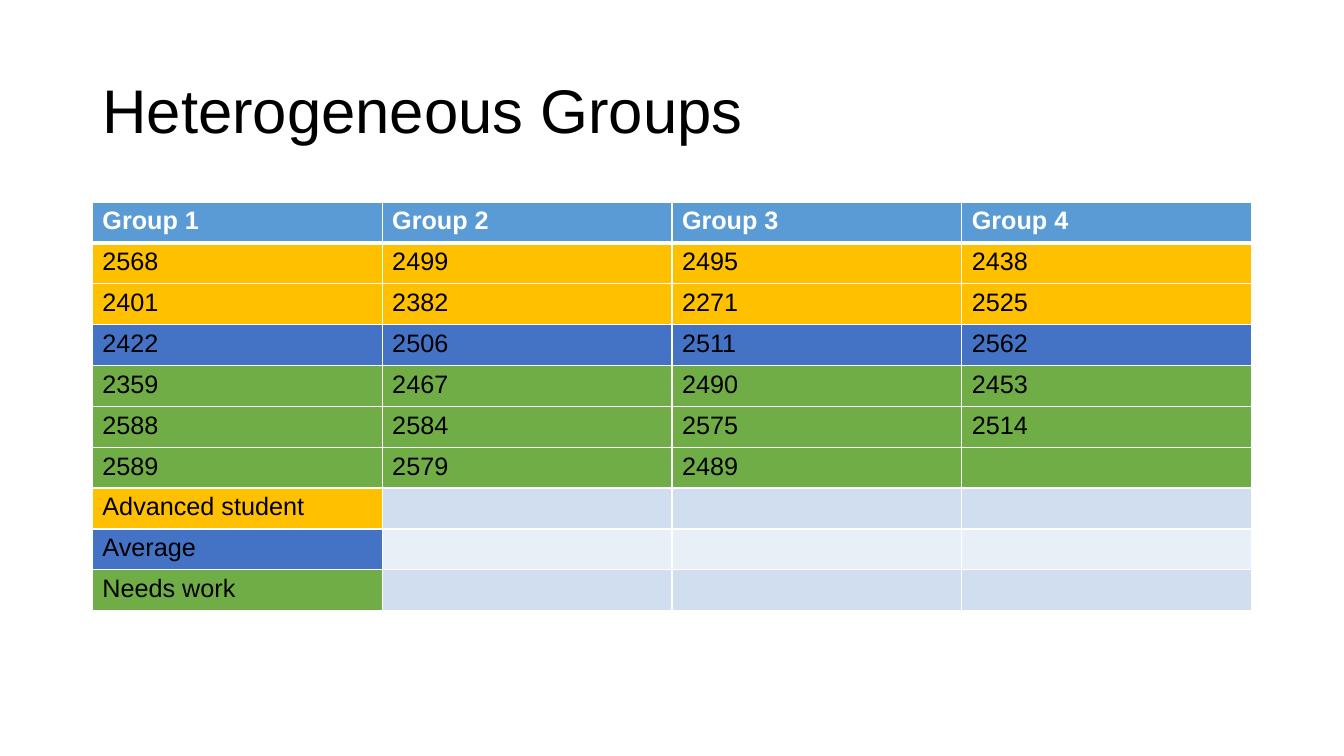
from lxml import etree
from pptx import Presentation
from pptx import util as u
from pptx.dml.color import RGBColor
from pptx.enum import text
from pptx.oxml.ns import qn

Pt = u.Pt
FONT = "Arial"
BLACK, WHITE, HEADER = "000000", "FFFFFF", "5B9BD5"
ADVANCED, AVERAGE, NEEDS_WORK = "FFC000", "4472C4", "70AD47"
BAND_DARK, BAND_LIGHT = "D0DEEF", "E9EFF7"
COLUMNS = 4

GROUPS = ["Group 1", "Group 2", "Group 3", "Group 4"]
STUDENTS = [
    (ADVANCED, ["2568", "2499", "2495", "2438"]),
    (ADVANCED, ["2401", "2382", "2271", "2525"]),
    (AVERAGE, ["2422", "2506", "2511", "2562"]),
    (NEEDS_WORK, ["2359", "2467", "2490", "2453"]),
    (NEEDS_WORK, ["2588", "2584", "2575", "2514"]),
    (NEEDS_WORK, ["2589", "2579", "2489", ""]),
]
LEGEND = [
    ("Advanced student", ADVANCED, BAND_DARK),
    ("Average", AVERAGE, BAND_LIGHT),
    ("Needs work", NEEDS_WORK, BAND_DARK),
]


def rgb(color):
    return RGBColor.from_string(color)


def format_runs(p, size, color, bold=False):
    for r in p.runs:
        r.font.name = FONT
        r.font.size = Pt(size)
        r.font.bold = bold
        r.font.color.rgb = rgb(color)


def set_title(slide, title):
    sp = slide.shapes.title
    sp.left, sp.top, sp.width, sp.height = Pt(66), Pt(28.75), Pt(828), Pt(104.4)
    tf = sp.text_frame
    tf.text = title
    tf.vertical_anchor = text.MSO_ANCHOR.MIDDLE
    p = tf.paragraphs[0]
    p.alignment = text.PP_ALIGN.LEFT
    p.line_spacing = 0.9
    format_runs(p, 44, BLACK)


def set_borders(cell, widths):
    """Draw white borders; widths are left, right, top, bottom in points."""
    tc_pr = cell._tc.get_or_add_tcPr()
    for i, (side, width) in enumerate(zip("LRTB", widths)):
        ln = etree.Element(qn(f"a:ln{side}"), w=str(Pt(width)))
        fill = etree.SubElement(ln, qn("a:solidFill"))
        etree.SubElement(fill, qn("a:srgbClr"), val=WHITE)
        tc_pr.insert(i, ln)


def fill_cell(cell, value, fill, color, bold, borders):
    cell.fill.solid()
    cell.fill.fore_color.rgb = rgb(fill)
    cell.text_frame.text = value
    format_runs(cell.text_frame.paragraphs[0], 18, color, bold)
    set_borders(cell, borders)


def add_group_table(slide):
    rows = [(GROUPS, [HEADER] * COLUMNS)]
    rows += [(ids, [level] * COLUMNS) for level, ids in STUDENTS]
    blanks = COLUMNS - 1
    rows += [([label] + [""] * blanks, [level] + [band] * blanks)
             for label, level, band in LEGEND]

    table = slide.shapes.add_table(len(rows), COLUMNS, Pt(66), Pt(144.25),
                                   Pt(828), Pt(29.2 * len(rows))).table
    for column in table.columns:
        column.width = Pt(207)
    for i, (values, fills) in enumerate(rows):
        table.rows[i].height = Pt(29.2)
        header = i == 0
        borders = (1, 1, 3 if i == 1 else 1, 3 if header else 1)
        for j, (value, fill) in enumerate(zip(values, fills)):
            fill_cell(table.cell(i, j), value, fill,
                      WHITE if header else BLACK, header, borders)


def main():
    prs = Presentation()
    prs.slide_width, prs.slide_height = Pt(960), Pt(540)
    slide = prs.slides.add_slide(prs.slide_layouts[5])
    set_title(slide, "Heterogeneous Groups")
    add_group_table(slide)
    prs.save("out.pptx")


if __name__ == "__main__":
    main()
